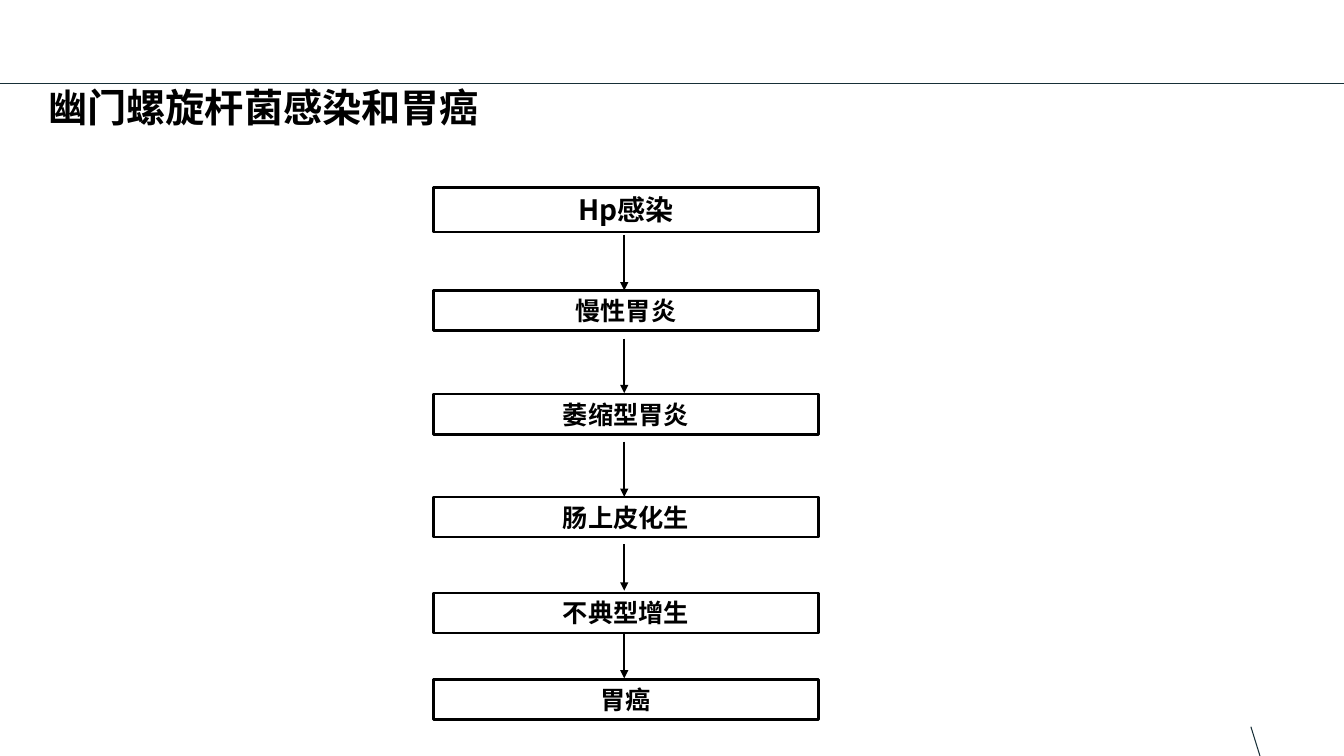
from lxml import etree
from pptx import Presentation
from pptx.dml.color import RGBColor
from pptx.enum.shapes import MSO_CONNECTOR, MSO_SHAPE
from pptx.enum.text import MSO_ANCHOR, PP_ALIGN
from pptx.oxml.ns import qn
from pptx.util import Pt

STRAIGHT = MSO_CONNECTOR.STRAIGHT
RECTANGLE = MSO_SHAPE.RECTANGLE
MIDDLE = MSO_ANCHOR.MIDDLE
LEFT, CENTER = PP_ALIGN.LEFT, PP_ALIGN.CENTER

FONT = "Noto Sans CJK SC"
COLORS = {"ink": "000000", "rule": "172F37"}
TITLE = "幽门螺旋杆菌感染和胃癌"
STAGES = [
    ("Hp感染", 133.92, 31.7, 20),
    ("慢性胃炎", 207.4, 28.8, 18),
    ("萎缩型胃炎", 281.5, 28.8, 18),
    ("肠上皮化生", 355, 28.8, 18),
    ("不典型增生", 423.4, 28.8, 18),
    ("胃癌", 485.3, 28.8, 18),
]
ARROWS = [(167.8, 207.4), (241.9, 280.8), (315.4, 355), (388.8, 421.9), (451.4, 484.6)]
RULES = [(0, 59.76, 960, 59.76), (893.52, 519.12, 900, 540)]
BOX_LEFT, BOX_WIDTH = 309.6, 275
ARROW_X = 445.9


def color(name):
    return RGBColor.from_string(COLORS[name])


def write(shape, text, size, alignment, margins):
    frame = shape.text_frame
    frame.word_wrap = True
    frame.vertical_anchor = MIDDLE
    frame.margin_left = frame.margin_right = Pt(margins[0])
    frame.margin_top = frame.margin_bottom = Pt(margins[1])
    paragraph = frame.paragraphs[0]
    paragraph.alignment = alignment
    run = paragraph.add_run()
    run.text = text
    run.font.size = Pt(size)
    run.font.bold = True
    run.font.name = FONT
    run.font.color.rgb = color("ink")
    properties = run._r.get_or_add_rPr()
    etree.SubElement(properties, qn("a:ea")).set("typeface", FONT)


def add_line(slide, ends, name, width, arrow=False):
    connector = slide.shapes.add_connector(STRAIGHT, *[Pt(value) for value in ends])
    connector.line.color.rgb = color(name)
    connector.line.width = Pt(width)
    if arrow:
        outline = connector.line._get_or_add_ln()
        etree.SubElement(outline, qn("a:tailEnd")).set("type", "triangle")
    etree.SubElement(connector._element.spPr, qn("a:effectLst"))


def add_stage(slide, text, top, height, size):
    shape = slide.shapes.add_shape(
        RECTANGLE, Pt(BOX_LEFT), Pt(top), Pt(BOX_WIDTH), Pt(height)
    )
    shape.shadow.inherit = False
    shape.fill.background()
    shape.line.color.rgb = color("ink")
    shape.line.width = Pt(1.75)
    write(shape, text, size, CENTER, (7.2, 3.6))


def main():
    presentation = Presentation()
    presentation.slide_width, presentation.slide_height = Pt(960), Pt(540)
    slide = presentation.slides.add_slide(presentation.slide_layouts[6])
    for ends in RULES:
        add_line(slide, ends, "rule", 0.75)
    title = slide.shapes.add_textbox(Pt(34.56), Pt(59.76), Pt(487.4), Pt(33.8))
    write(title, TITLE, 28, LEFT, (0, 0))
    for stage in STAGES:
        add_stage(slide, *stage)
    for start, end in ARROWS:
        add_line(slide, (ARROW_X, start, ARROW_X, end), "ink", 1.75, arrow=True)
    presentation.save("out.pptx")


if __name__ == "__main__":
    main()
